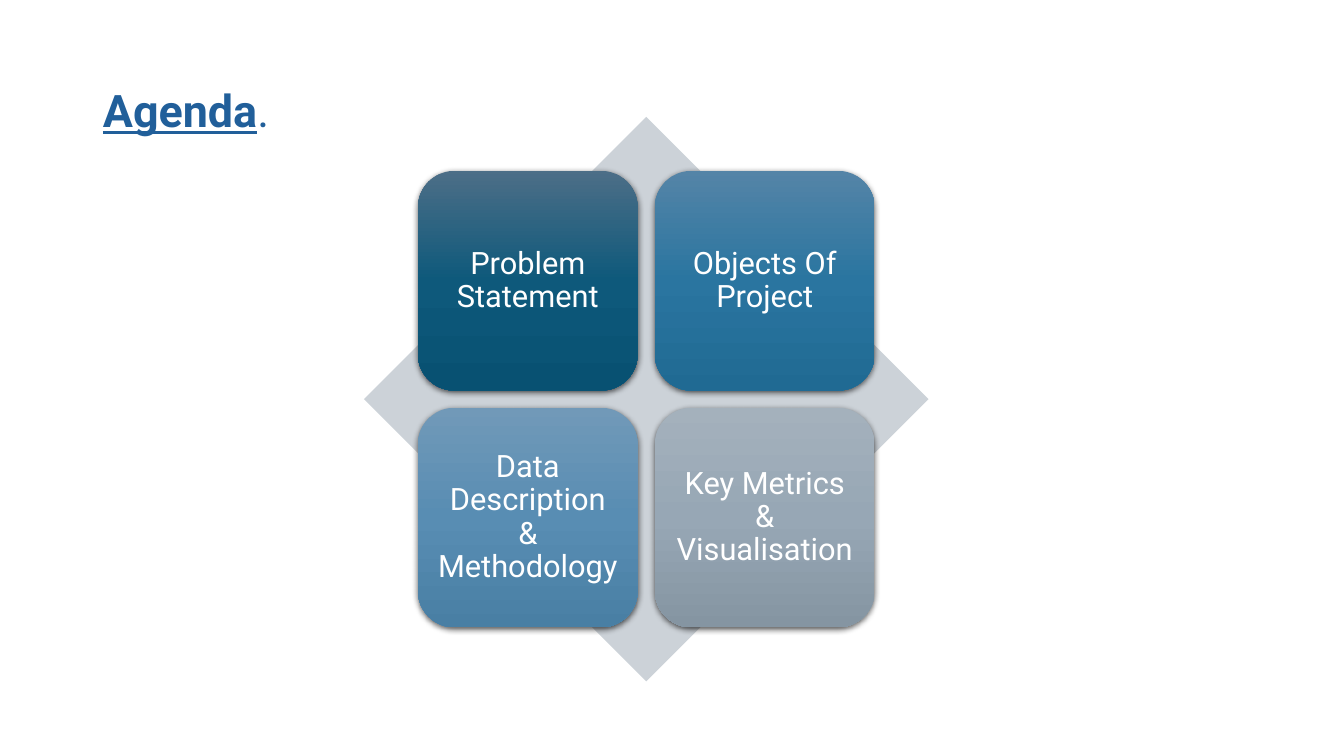
from copy import deepcopy
from dataclasses import dataclass

from lxml.etree import SubElement
from pptx import Presentation
from pptx.dml.color import RGBColor as RGB
from pptx.enum.shapes import MSO_SHAPE as SHAPE
from pptx.enum.text import MSO_ANCHOR as ANCHOR, MSO_AUTO_SIZE as AUTO, PP_ALIGN as ALIGN
from pptx.oxml.ns import qn
from pptx.util import Inches, Pt


@dataclass(frozen=True)
class Theme:
    font: str = "Roboto"
    title_size: int = 32
    tile_size: int = 22
    title: str = "215F9A"
    diamond: str = "CCD2D8"
    tile_text: str = "FFFFFF"
    shadow: str = "000000"


THEME = Theme()
TILES = [
    ("Problem Statement", ("4C6E87", "0E597B", "085172")),
    ("Objects Of Project", ("5484A7", "2A75A0", "206A93")),
    ("Data Description & Methodology", ("7199B8", "588DB3", "497FA4")),
    ("Key Metrics & Visualisation", ("A4B1BC", "97A7B5", "8595A2")),
]


def set_attrs(obj, values):
    for name, value in values.items():
        setattr(obj, name, value)


def add_run(p, text, size, color, **styles):
    r = p.add_run()
    r.text = text
    set_attrs(r.font, {"name": THEME.font, "size": Pt(size), **styles})
    r.font.color.rgb = RGB.from_string(color)


def fill_gradient(sp, colors):
    """Fill top to bottom with three evenly spaced colours."""
    sp.fill.gradient()
    sp.fill.gradient_angle = 270
    stops = sp.element.spPr.find(qn("a:gradFill")).find(qn("a:gsLst"))
    stops.insert(1, deepcopy(stops[0]))
    for i, (stop, color) in enumerate(zip(sp.fill.gradient_stops, colors)):
        stop.position = i / 2
        stop.color.rgb = RGB.from_string(color)


def add_shadow(sp):
    sp.shadow.inherit = False
    effects = sp.element.spPr.find(qn("a:effectLst"))
    outer = SubElement(effects, qn("a:outerShdw"), blurRad=str(Pt(4.5)),
                       dist=str(Pt(1.5)), dir="5400000", algn="ctr", rotWithShape="0")
    color = SubElement(outer, qn("a:srgbClr"), val=THEME.shadow)
    SubElement(color, qn("a:alpha"), val="63000")


def add_title(s, left, top, width, height):
    title = s.shapes.title
    set_attrs(title, {"left": Inches(left), "top": Inches(top),
                      "width": Inches(width), "height": Inches(height)})
    tf = title.text_frame
    set_attrs(tf, {"vertical_anchor": ANCHOR.MIDDLE, "word_wrap": True, "auto_size": AUTO.NONE})
    p = tf.paragraphs[0]
    set_attrs(p, {"alignment": ALIGN.LEFT, "line_spacing": 0.9})
    add_run(p, "Agenda", THEME.title_size, THEME.title, bold=True, underline=True)
    add_run(p, ".", THEME.title_size, THEME.title, bold=False, underline=False)


def add_tile(shapes, left, top, size, text, colors):
    sp = shapes.add_shape(SHAPE.ROUNDED_RECTANGLE, *map(Inches, (left, top, size, size)))
    fill_gradient(sp, colors)
    sp.line.fill.background()
    add_shadow(sp)
    tf = sp.text_frame
    set_attrs(tf, {"word_wrap": True, "vertical_anchor": ANCHOR.MIDDLE})
    set_attrs(tf, {f"margin_{side}": Inches(0.09) for side in ("left", "top", "right", "bottom")})
    p = tf.paragraphs[0]
    set_attrs(p, {"alignment": ALIGN.CENTER, "line_spacing": 0.9})
    add_run(p, text, THEME.tile_size, THEME.tile_text)


def add_matrix(s, left, top, size):
    """Place a two-by-two grid of tiles over a diamond."""
    shapes = s.shapes.add_group_shape().shapes
    diamond = shapes.add_shape(SHAPE.DIAMOND, *map(Inches, (left, top, size, size)))
    diamond.fill.solid()
    diamond.fill.fore_color.rgb = RGB.from_string(THEME.diamond)
    diamond.line.fill.background()
    diamond.shadow.inherit = False
    tile, gap = 2.18, 0.17
    inset = (size - 2 * tile - gap) / 2
    for i, (text, colors) in enumerate(TILES):
        row, col = divmod(i, 2)
        add_tile(shapes, left + inset + col * (tile + gap),
                 top + inset + row * (tile + gap), tile, text, colors)


def main():
    prs = Presentation()
    set_attrs(prs, {"slide_width": Inches(13.33), "slide_height": Inches(7.5)})
    s = prs.slides.add_slide(prs.slide_layouts[5])
    add_title(s, 0.92, 0.4, 11.5, 1.45)
    add_matrix(s, 3.61, 1.16, 5.6)
    prs.save("out.pptx")


if __name__ == "__main__":
    main()
